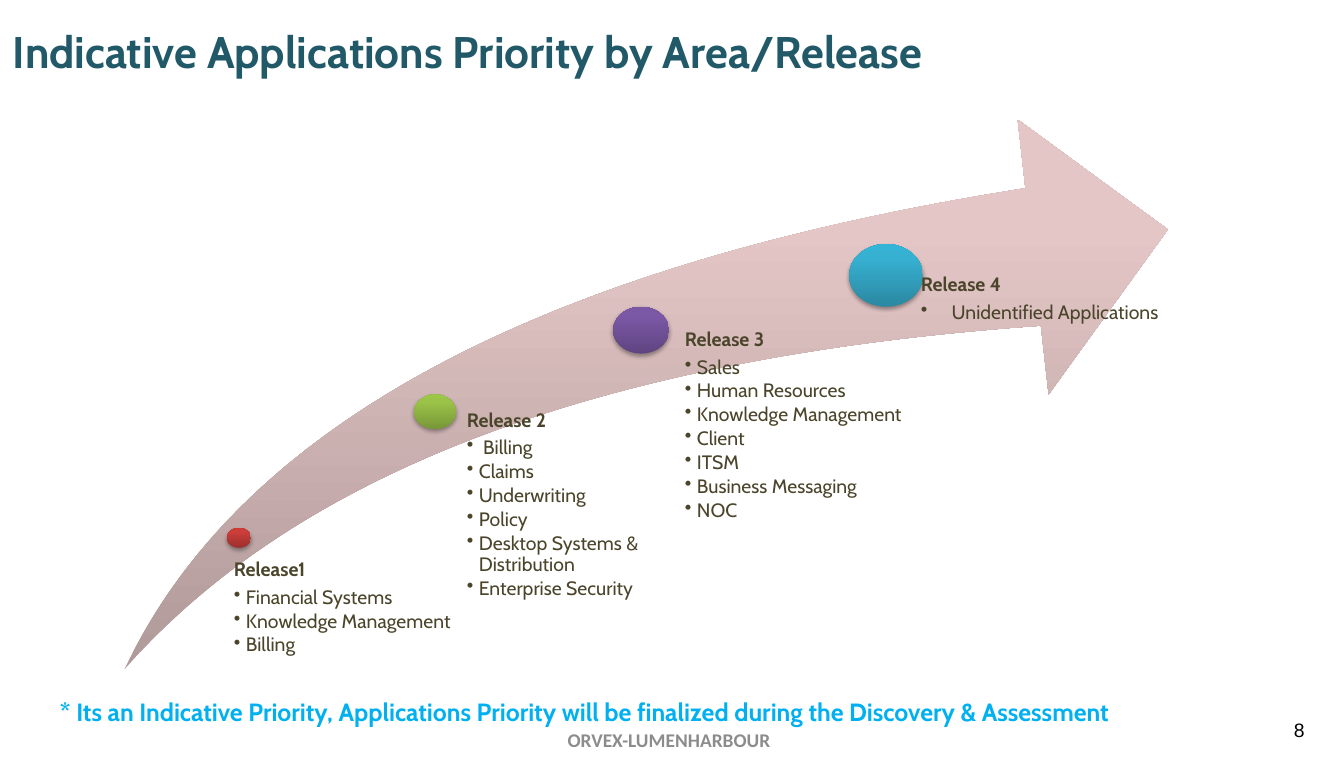
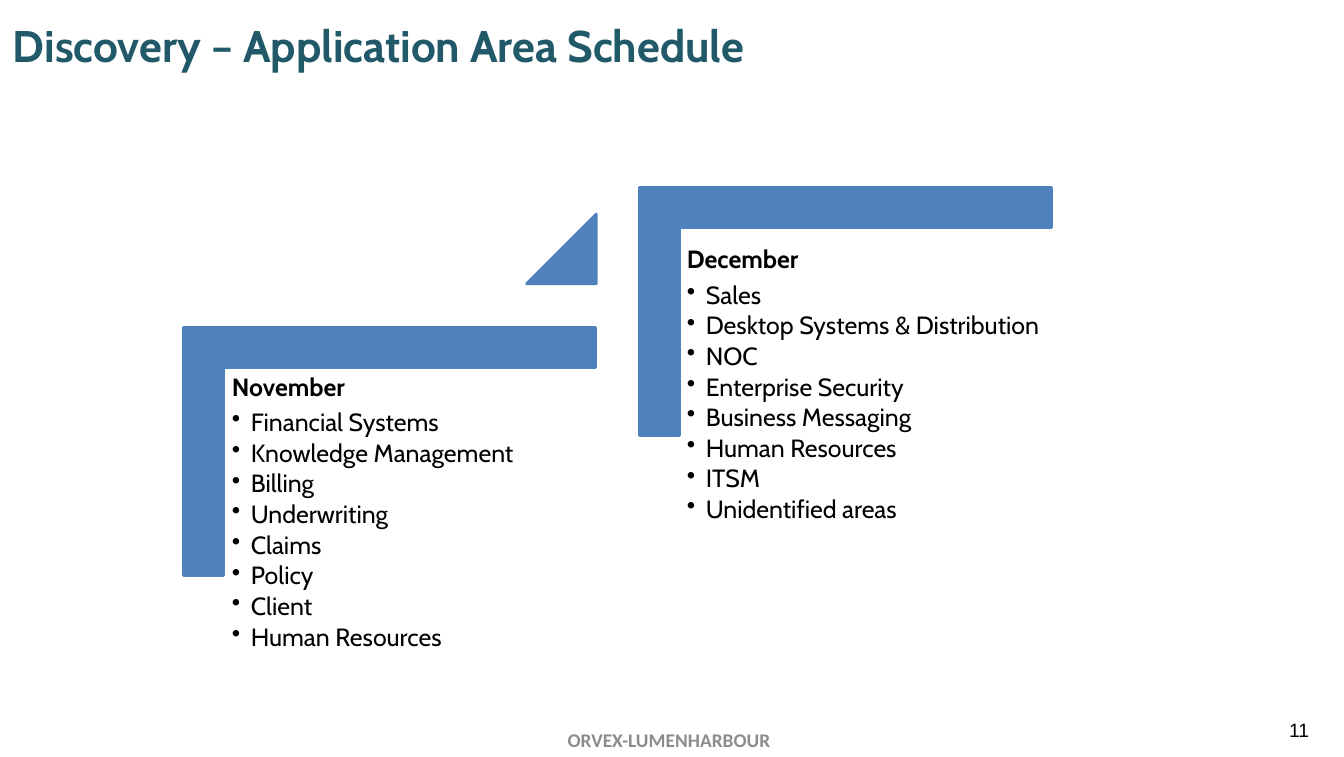
from copy import deepcopy

from lxml.etree import SubElement
from pptx import Presentation
from pptx.dml.color import RGBColor
from pptx.enum.shapes import MSO_SHAPE as Preset
from pptx.enum.text import MSO_ANCHOR as Anchor, MSO_AUTO_SIZE as AutoSize, PP_ALIGN as Align
from pptx.oxml.ns import qn
from pptx.util import Inches, Pt

rgb = RGBColor.from_string
TITLE, FOOTER, NOTE = "215968", "8C8C8C", "00B0F0"
BLACK, OLIVE, BLUE = "000000", "4A452A", "4F81BD"


def write(frame, text, size, color, font="Cabin", bold=True, align=Align.LEFT,
          anchor=Anchor.TOP, insets=(0.1, 0.05, 0.1, 0.05), bullets=(),
          indent=0, bullet_gap=0.15):
    frame.word_wrap = True
    frame.auto_size = AutoSize.NONE
    frame.vertical_anchor = anchor
    (frame.margin_left, frame.margin_top,
     frame.margin_right, frame.margin_bottom) = map(Inches, insets)
    for number, line in enumerate([text, *bullets]):
        paragraph = frame.add_paragraph() if number else frame.paragraphs[0]
        paragraph.alignment = align
        run = paragraph.add_run()
        run.text = line
        run.font.name = font
        run.font.size = Pt(size)
        run.font.bold = bold and number == 0
        run.font.color.rgb = rgb(color)
        if bullets:
            paragraph.line_spacing = 0.9
            paragraph.space_after = Pt(size * (bullet_gap if number else 0.35))
        if number:
            properties = paragraph._p.get_or_add_pPr()
            properties.set("marL", str(Inches(indent)))
            properties.set("indent", str(-Inches(indent)))
            SubElement(properties, qn("a:buChar"), char="•")


def draw(slide, preset, box, adjustments=()):
    shape = slide.shapes.add_shape(preset, *map(Inches, box))
    shape.shadow.inherit = False
    shape.line.fill.background()
    for number, value in enumerate(adjustments):
        shape.adjustments[number] = value
    return shape


deck = Presentation()
deck.slide_width, deck.slide_height = Inches(13.5), Inches(7.6)

slides = []
for heading, title_box, page in [
    ("Indicative Applications Priority by Area/Release", (0.01, 0.02, 12.57, 0.98), "8"),
    ("Discovery – Application Area Schedule", (0.01, -0.01, 11.82, 0.92), "11"),
]:
    slide = deck.slides.add_slide(deck.slide_layouts[5])
    title = slide.shapes.title
    title.left, title.top, title.width, title.height = map(Inches, title_box)
    write(title.text_frame, heading, 32, TITLE, anchor=Anchor.MIDDLE,
          insets=(0.12, 0.1, 0.12, 0.1))
    for text, box, font, color, bold in [
        (page, (12.71, 7.15, 0.68, 0.36), "Arial", BLACK, False),
        ("ORVEX-LUMENHARBOUR", (4.58, 7.23, 4.28, 0.4), "Calibri", FOOTER, True),
    ]:
        label = slide.shapes.add_textbox(*map(Inches, box))
        write(label.text_frame, text, 14, color, font=font, bold=bold,
              align=Align.CENTER, anchor=Anchor.MIDDLE, insets=(0.12, 0.06, 0.12, 0.06))
    slides.append(slide)
priority, schedule = slides

for preset, box, adjustments, colors in [
    (Preset.SWOOSH_ARROW, (1.25, 1.2, 10.48, 5.52), (0.25, 0.259), ("B09999", "E4C6C6", "E6C6C6")),
    (Preset.OVAL, (2.28, 5.3, 0.24, 0.2), (), ("9C2F2D", "CB3E3A", "CE3B37")),
    (Preset.OVAL, (4.16, 3.96, 0.42, 0.35), (), ("779737", "9BC348", "9DC746")),
    (Preset.OVAL, (6.16, 3.08, 0.56, 0.47), (), ("5F4480", "7B58A6", "7C57A8")),
    (Preset.OVAL, (8.53, 2.45, 0.74, 0.63), (), ("2A88A2", "37B1D2", "34B4D6")),
]:
    milestone = draw(priority, preset, box, adjustments)
    milestone.fill.gradient()
    milestone.fill.gradient_angle = 90
    properties = milestone.element.spPr
    stops = properties.find(".//" + qn("a:gsLst"))
    stops.append(deepcopy(stops[-1]))
    for stop, position, color in zip(milestone.fill.gradient_stops, (0, 0.8, 1), colors):
        stop.position = position
        stop.color.rgb = rgb(color)
    if preset == Preset.OVAL:
        shadow = SubElement(properties.find(qn("a:effectLst")), qn("a:outerShdw"),
                            blurRad=str(Pt(3.1)), dist=str(Pt(1.8)), dir="5400000",
                            rotWithShape="0")
        shade = SubElement(shadow, qn("a:srgbClr"), val=BLACK)
        SubElement(shade, qn("a:alpha"), val="35000")

for release, box, inset, indent, gap, areas in [
    ("Release1", (2.24, 5.62, 2.79, 1.31), 0.11, 0.12, 0.15,
     ["Financial Systems", "Knowledge Management", "Billing"]),
    ("Release 2", (4.49, 4.12, 2.2, 2.52), 0.2, 0.12, 0.15,
     [" Billing", "Claims", "Underwriting", "Policy", "Desktop Systems & Distribution",
      "Enterprise Security"]),
    ("Release 3", (6.62, 3.31, 2.65, 2.54), 0.26, 0.12, 0.15,
     ["Sales", "Human Resources", "Knowledge Management", "Client", "ITSM",
      "Business Messaging", "NOC"]),
    ("Release 4", (8.9, 2.76, 3.18, 1.04), 0.35, 0.31, 0.35,
     ["Unidentified Applications"]),
]:
    scope = priority.shapes.add_textbox(*map(Inches, box))
    write(scope.text_frame, release, 14, OLIVE, insets=(inset, 0, 0, 0),
          bullets=areas, indent=indent, bullet_gap=gap)

footnote = priority.shapes.add_textbox(*map(Inches, (0.5, 6.94, 11.89, 0.4)))
write(footnote.text_frame,
      "* Its an Indicative Priority, Applications Priority will be finalized "
      "during the Discovery & Assessment", 18, NOTE)

steps = [
    draw(schedule, Preset.CORNER, (2.67, 2.46, 2.49, 4.14), (0.161, 0.161)),
    draw(schedule, Preset.ISOSCELES_TRIANGLE, (5.29, 2.15, 0.7, 0.7), (1,)),
    draw(schedule, Preset.CORNER, (7.25, 1.06, 2.49, 4.14), (0.161, 0.161)),
]
for step in steps:
    step.fill.solid()
    step.fill.fore_color.rgb = rgb(BLUE)
    step.line.color.rgb = rgb(BLUE)
    step.line.width = Pt(2)
for corner in steps[::2]:
    corner.rotation = 90

for month, box, areas in [
    ("November", (2.26, 3.69, 3.74, 3.27),
     ["Financial Systems", "Knowledge Management", "Billing", "Underwriting", "Claims",
      "Policy", "Client", "Human Resources"]),
    ("December", (6.83, 2.41, 3.74, 3.42),
     ["Sales", "Desktop Systems & Distribution", "NOC", "Enterprise Security",
      "Business Messaging", "Human Resources", "ITSM", "Unidentified areas"]),
]:
    plan = schedule.shapes.add_textbox(*map(Inches, box))
    write(plan.text_frame, month, 18, BLACK, insets=(0.07,) * 4, bullets=areas, indent=0.19)

deck.save("out.pptx")
